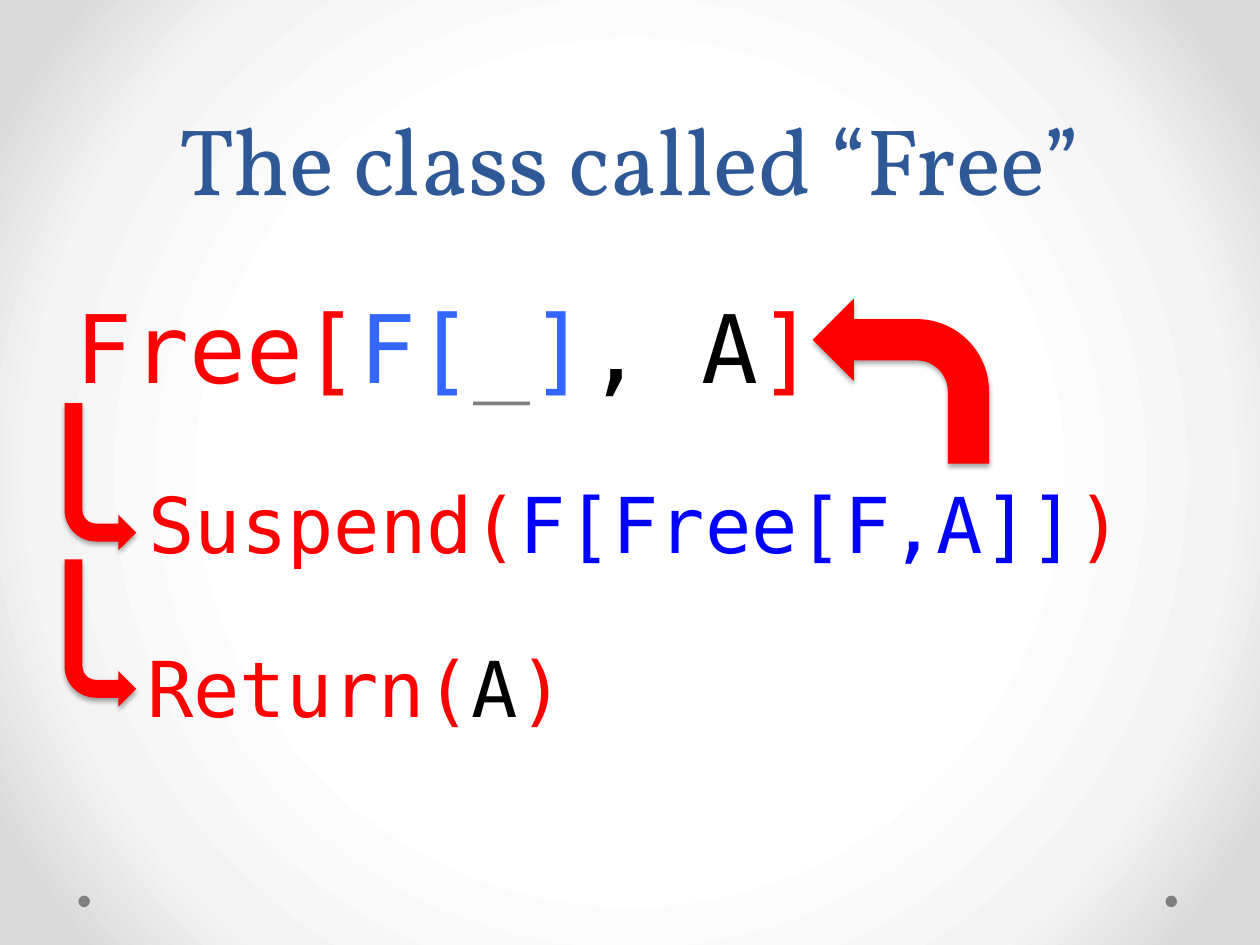
"""Build the slide that explains the Free class."""
from pptx import Presentation, oxml
from pptx.dml.color import RGBColor
from pptx.enum import shapes, text
from pptx.oxml.ns import nsdecls
from pptx.util import Pt

RED, BLUE, SKY, GRAY, BLACK = "FF0000", "0000FF", "3366FF", "808080", "000000"
MONO = "DejaVu Sans Mono"


def paint(item, color):
    item.rgb = RGBColor.from_string(color)


def draw(kind, box, color):
    shape = slide.shapes.add_shape(kind, *map(Pt, box))
    shape.shadow.inherit = False
    shape.fill.solid()
    paint(shape.fill.fore_color, color)
    shape.line.fill.background()
    return shape


deck = Presentation()
deck.slide_width, deck.slide_height = Pt(720), Pt(540)
slide = deck.slides.add_slide(deck.slide_layouts[6])

stops = "".join(
    f'<a:gs pos="{pos * 1000}"><a:srgbClr val="{color}"/></a:gs>'
    for pos, color in [(50, "FFFFFF"), (76, "F4F4F4"), (92, "DADADA")])
back = oxml.parse_xml(
    f'<p:bg {nsdecls("p", "a")}><p:bgPr><a:gradFill rotWithShape="1">'
    f'<a:gsLst>{stops}</a:gsLst><a:path path="circle">'
    '<a:fillToRect l="50000" t="50000" r="50000" b="50000"/></a:path>'
    '</a:gradFill><a:effectLst/></p:bgPr></p:bg>')
slide.element.cSld.insert(0, back)

for left in (666, 44.8):
    draw(shapes.MSO_SHAPE.OVAL, (left, 511.8, 6.6, 6.6), GRAY)

lines = [
    ((36, 0, 648, 126), 54, "Vollkorn", [("The class called “Free”", "2F5897")]),
    ((77.8, 265.7, 587.5, 82), 44, MONO,
     [("Suspend(", RED), ("F[Free[F,A]]", BLUE), (")", RED)]),
    ((77, 359.3, 587.5, 82), 44, MONO,
     [("Return(", RED), ("A", BLACK), (")", RED)]),
    ((36, 158.4, 633, 94.3), 54, MONO,
     [("Free[", RED), ("F[", SKY), ("_", GRAY), ("]", SKY),
      (", A", BLACK), ("]", RED)]),
]
for box, size, face, runs in lines:
    frame = slide.shapes.add_textbox(*map(Pt, box)).text_frame
    frame.word_wrap = True
    para = frame.paragraphs[0]
    para.font.size, para.font.name = Pt(size), face
    if face == MONO:
        frame.margin_top = Pt(6.5)
    else:
        frame.vertical_anchor = text.MSO_ANCHOR.BOTTOM
        para.alignment = text.PP_ALIGN.CENTER
        para.line_spacing = Pt(58)
    for words, color in runs:
        run = para.add_run()
        run.text = words
        paint(run.font.color, color)

shade = (
    f'<a:outerShdw {nsdecls("a")} blurRad="{Pt(3.1)}" dist="{Pt(1.8)}" '
    'dir="5400000" rotWithShape="0"><a:srgbClr val="000000">'
    '<a:alpha val="35000"/></a:srgbClr></a:outerShdw>')
for box, flip in [((464.4, 170.6, 100.8, 94.3), "flipH"),
                  ((36.9, 230.4, 41, 84.2), "flipV"),
                  ((36.9, 319.7, 41, 84.2), "flipV")]:
    arrow = draw(shapes.MSO_SHAPE.BENT_ARROW, box, RED)
    props = arrow.element.spPr
    props.xfrm.set(flip, "1")
    props.find("{*}effectLst").append(oxml.parse_xml(shade))

deck.save("out.pptx")
